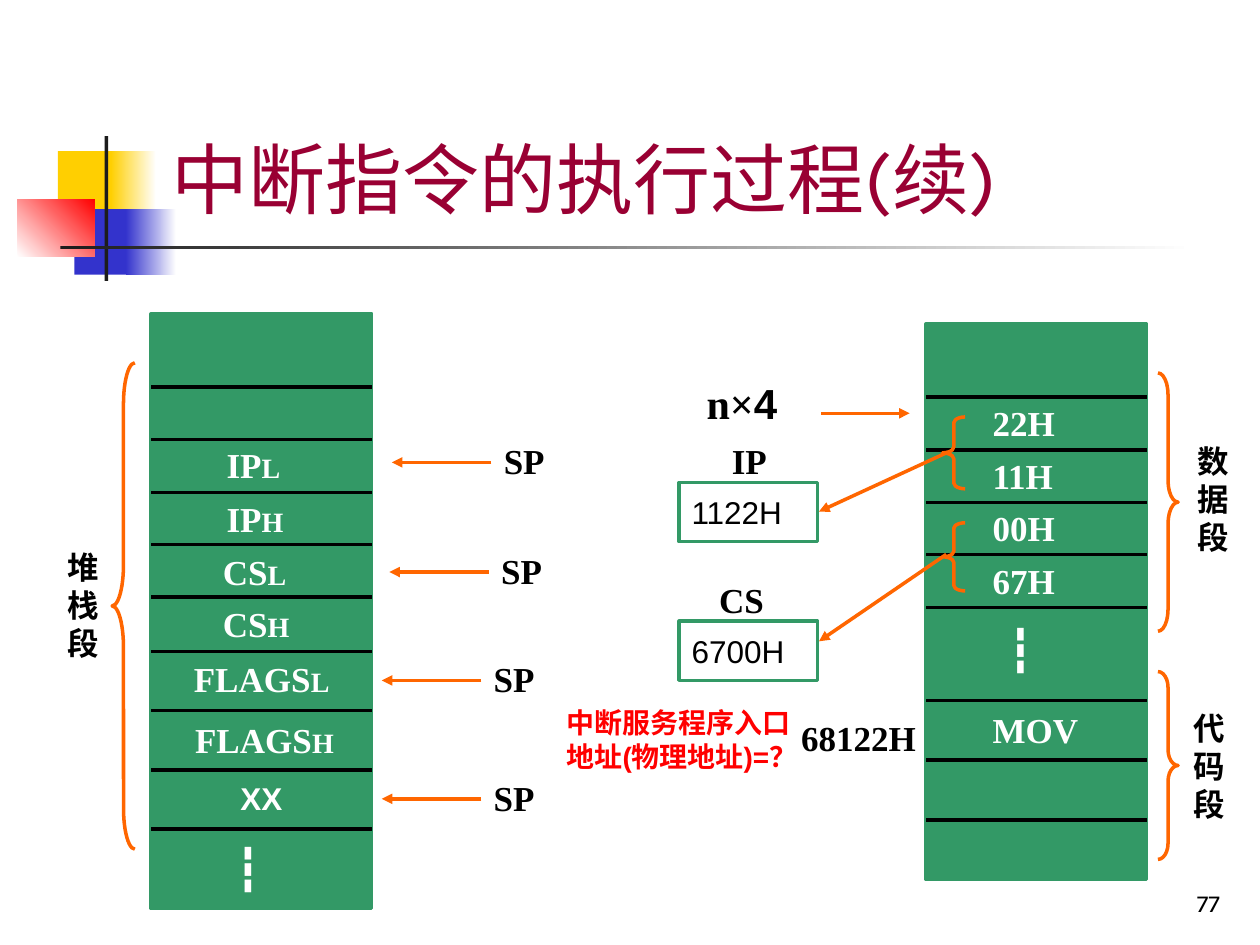
import pptx
import pptx.util
import pptx.dml.color
import pptx.enum.shapes
import pptx.enum.text
import pptx.oxml.ns
import lxml.etree

PX = 9144
COLORS = {
    "memory": "339966", "arrow": "FF6600", "title": "990033", "question": "FF0000",
    "yellow": "FFCF01", "blue": "3333CC", "red": "FF0000", "dark": "1C1C1C",
    "black": "000000", "white": "FFFFFF",
}
SERIF, SANS, HEADING = "Times New Roman", "Arial", "Karla"
ALIGN = pptx.enum.text.PP_ALIGN
ANCHOR = pptx.enum.text.MSO_ANCHOR
SHAPE = pptx.enum.shapes.MSO_SHAPE


def color(name):
    return pptx.dml.color.RGBColor.from_string(COLORS[name])


def px(*lengths):
    return [length * PX for length in lengths]


def assign(target, values):
    for attribute, value in values.items():
        setattr(target, attribute, value)


class Diagram:
    stroke = pptx.util.Pt(2)

    def __init__(self, slide):
        self.slide = slide

    def add_runs(self, frame, runs, size, ink="black", font=SERIF, bold=True,
                 align=ALIGN.LEFT, anchor=ANCHOR.TOP):
        assign(frame, {"word_wrap": True, "vertical_anchor": anchor,
                       "auto_size": pptx.enum.text.MSO_AUTO_SIZE.NONE})
        paragraph = frame.paragraphs[0]
        paragraph.alignment = align
        for words, changes in runs:
            run = paragraph.add_run()
            run.text = words
            style = {"size": pptx.util.Pt(size), "name": font, "bold": bold}
            assign(run.font, {**style, **changes})
            run.font.color.rgb = color(ink)

    def title(self, words, box):
        heading = self.slide.shapes.title
        assign(heading, dict(zip(("left", "top", "width", "height"), px(*box))))
        self.add_runs(heading.text_frame, [(words, {})], 44, "title", HEADING,
                      False, anchor=ANCHOR.BOTTOM)

    def text(self, words, box, size=20, subscript="", **style):
        label = self.slide.shapes.add_textbox(*px(*box))
        runs = [(words, {})]
        if subscript:
            runs.append((subscript, {"size": pptx.util.Pt(16)}))
        self.add_runs(label.text_frame, runs, size, **style)
        return label

    def shape(self, kind, box, fill=None, line=None):
        drawn = self.slide.shapes.add_shape(kind, *px(*box))
        drawn.shadow.inherit = False
        if fill:
            drawn.fill.solid()
            drawn.fill.fore_color.rgb = color(fill)
        else:
            drawn.fill.background()
        if line:
            drawn.line.color.rgb = color(line)
            drawn.line.width = self.stroke
        else:
            drawn.line.fill.background()
        return drawn

    def fade(self, box, start, end, angle=0):
        band = self.shape(SHAPE.RECTANGLE, box)
        band.fill.gradient()
        band.fill.gradient_angle = angle
        for stop, name in zip(band.fill.gradient_stops, (start, end)):
            stop.color.rgb = color(name)

    def brace(self, box, bend, rotation=0):
        bracket = self.shape(SHAPE.LEFT_BRACE, box, line="arrow")
        bracket.rotation = rotation
        bracket.adjustments[0] = bend

    def line(self, start, end, ink="black", arrow=False):
        connector = self.slide.shapes.add_connector(
            pptx.enum.shapes.MSO_CONNECTOR.STRAIGHT, *px(*start, *end))
        connector.line.color.rgb = color(ink)
        connector.line.width = self.stroke
        qn = pptx.oxml.ns.qn
        if arrow:
            outline = connector.line._get_or_add_ln()
            lxml.etree.SubElement(outline, qn("a:tailEnd"), type="triangle")
        lxml.etree.SubElement(connector._element.spPr, qn("a:effectLst"))

    def arrow(self, start, end):
        self.line(start, end, "arrow", True)

    def memory(self, left, top, height, dividers):
        self.shape(SHAPE.RECTANGLE, (left, top, 175, height), "memory", "memory")
        for y in dividers:
            self.line((left, y), (left + 175, y))

    def register(self, name, name_box, value, top):
        self.text(name, name_box)
        cell = self.shape(SHAPE.RECTANGLE, (539, top, 110, 47), line="memory")
        self.add_runs(cell.text_frame, [(value, {})], 18, font=SANS, bold=False,
                      anchor=ANCHOR.MIDDLE)

    def segment(self, name, left, top):
        self.text(name, (left, top, 50, 100), 18, align=ALIGN.CENTER)

    def ellipsis(self, left, top):
        self.text("┇", (left, top, 58, 50), 24, ink="white")


def draw_decoration(diagram):
    diagram.shape(SHAPE.RECTANGLE, (46, 120, 48, 52), "yellow")
    diagram.fade((88, 120, 36, 52), "yellow", "white")
    diagram.shape(SHAPE.RECTANGLE, (59, 166, 46, 52), "blue")
    diagram.fade((100, 166, 40, 52), "blue", "white")
    diagram.fade((14, 158, 61, 46), "white", "red", 45)
    diagram.shape(SHAPE.RECTANGLE, (83, 108, 3, 115), "dark")
    diagram.fade((48, 195, 900, 3), "dark", "white")


def draw_stack(diagram):
    diagram.memory(120, 249, 472, (307, 349, 391, 432, 474, 517, 564, 611, 658))
    diagram.brace((89, 288, 18, 386), 1.8)
    diagram.segment("堆栈段", 41, 430)
    for saved, half, left, top in (
            ("IP", "L", 170, 347), ("IP", "H", 170, 390),
            ("CS", "L", 167, 432), ("CS", "H", 167, 473),
            ("FLAGS", "L", 144, 517), ("FLAGS", "H", 145, 565)):
        diagram.text(saved, (left, top, 132, 43), subscript=half, ink="white")
    diagram.text("XX", (181, 613, 74, 40), 18, ink="white", font=SANS)
    diagram.ellipsis(177, 664)
    for left, top in ((390, 344), (388, 431), (382, 517), (382, 611)):
        diagram.text("SP", (left, top, 63, 43))
        diagram.arrow((left, top + 23), (left - 79, top + 23))


def draw_vector_table(diagram):
    diagram.memory(735, 257, 441, (315, 357, 399, 440, 482, 556, 603, 651))
    for row, content in enumerate(("22H", "11H", "00H", "67H")):
        diagram.text(content, (778, 314 + round(row * 125 / 3), 117, 43), ink="white")
    diagram.text("MOV", (778, 557, 117, 43), ink="white")
    diagram.ellipsis(790, 490)
    diagram.brace((748, 331, 18, 57), 0.26)
    diagram.brace((748, 415, 18, 54), 0.24)
    diagram.brace((919, 296, 16, 205), 1.08, 180)
    diagram.brace((919, 533, 16, 149), 0.79, 180)
    diagram.segment("数据段", 938, 346)
    diagram.segment("代码段", 935, 558)


def draw_registers(diagram):
    vector = diagram.text("n×", (551, 295, 124, 57), 24)
    diagram.add_runs(vector.text_frame, [("4", {"name": SANS})], 24)
    diagram.arrow((652, 328), (722, 328))
    diagram.register("IP", (571, 344, 55, 43), "1122H", 383)
    diagram.register("CS", (561, 454, 63, 43), "6700H", 493)
    diagram.arrow((752, 359), (650, 406))
    diagram.arrow((751, 440), (650, 509))
    diagram.text("68122H", (626, 564, 123, 43))
    diagram.text("中断服务程序入口地址(物理地址)=？", (440, 555, 209, 64), 16,
                 ink="question", font=SANS)


def main():
    deck = pptx.Presentation()
    assign(deck, {"slide_width": 1000 * PX, "slide_height": 750 * PX})
    diagram = Diagram(deck.slides.add_slide(deck.slide_layouts[5]))
    draw_decoration(diagram)
    diagram.title("中断指令的执行过程(续)", (126, 23, 852, 160))
    draw_vector_table(diagram)
    draw_registers(diagram)
    draw_stack(diagram)
    diagram.text("77", (770, 683, 208, 50), 14, font=HEADING, bold=False,
                 align=ALIGN.RIGHT, anchor=ANCHOR.BOTTOM)
    deck.save("out.pptx")


if __name__ == "__main__":
    main()
